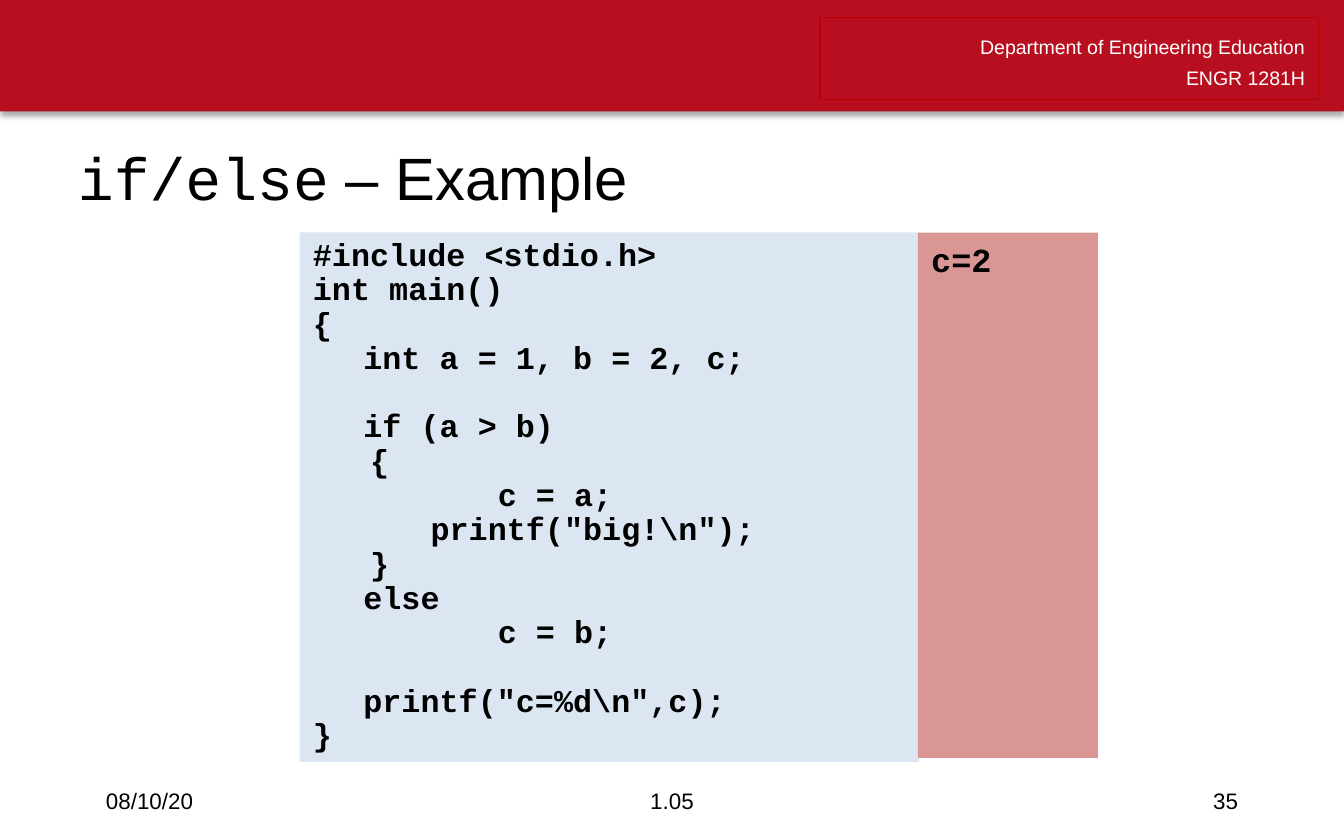
from lxml import etree
from pptx import Presentation, util as u
from pptx.dml.color import RGBColor
from pptx.enum import shapes, text
from pptx.oxml import ns

WIDTH, HEIGHT = 10, 6.25
BLACK = RGBColor(0x00, 0x00, 0x00)
WHITE = RGBColor(0xFF, 0xFF, 0xFF)
BANNER_RED = RGBColor(0xB7, 0x0F, 0x20)
OUTLINE_RED = RGBColor(0xBB, 0x00, 0x00)
CODE_BLUE = RGBColor(0xDC, 0xE6, 0xF2)
OUTPUT_PINK = RGBColor(0xD9, 0x96, 0x94)
SANS, MONO = "Arial", "Courier New"
LEFT, CENTER, RIGHT = text.PP_ALIGN.LEFT, text.PP_ALIGN.CENTER, text.PP_ALIGN.RIGHT
TOP, MIDDLE = text.MSO_ANCHOR.TOP, text.MSO_ANCHOR.MIDDLE

CODE = [
    "#include <stdio.h>",
    "int main()",
    "{",
    "\tint a = 1, b = 2, c;",
    "",
    "\tif (a > b)",
    "   {",
    "\t\t  \tc = a;",
    "      \tprintf(\"big!\\n\");",
    "   }",
    "\telse",
    "\t\t\tc = b;",
    "",
    "\tprintf(\"c=%d\\n\",c);",
    "}",
]


def place(left, top, width, height):
    return [u.Inches(value) for value in (left, top, width, height)]


def add_span(para, words, font=SANS, size=12, color=BLACK, bold=False):
    span = para.add_run()
    span.text = words
    span.font.name = font
    span.font.size = u.Pt(size)
    span.font.color.rgb = color
    span.font.bold = bold


def write_lines(box, lines, align=LEFT, anchor=TOP, spacing=None, hanging=0, size=12, **style):
    frame = box.text_frame
    frame.word_wrap = True
    frame.vertical_anchor = anchor
    for index, line in enumerate(lines):
        para = frame.add_paragraph() if index else frame.paragraphs[0]
        para.alignment = align
        if spacing:
            para.line_spacing = spacing
        if hanging:
            properties = para._p.get_or_add_pPr()
            properties.set("marL", str(u.Inches(hanging)))
            properties.set("indent", str(u.Inches(-hanging)))
        if line:
            add_span(para, line, size=size, **style)
        else:
            para._p.get_or_add_endParaRPr().set("sz", str(size * 100))


def add_panel(page, area, fill=None, line=None):
    panel = page.shapes.add_shape(shapes.MSO_SHAPE.RECTANGLE, *place(*area))
    panel.shadow.inherit = False
    if fill:
        panel.fill.solid()
        panel.fill.fore_color.rgb = fill
    else:
        panel.fill.background()
    if line:
        panel.line.color.rgb = line
        panel.line.width = u.Pt(0.75)
    else:
        panel.line.fill.background()
    return panel


def add_soft_shadow(panel):
    effects = panel._element.spPr.find(ns.qn("a:effectLst"))
    shadow = etree.SubElement(
        effects, ns.qn("a:outerShdw"), blurRad=str(u.Pt(3.1)),
        dist=str(u.Pt(1.8)), dir="5400000", algn="ctr", rotWithShape="0")
    color = etree.SubElement(shadow, ns.qn("a:srgbClr"), val="000000")
    etree.SubElement(color, ns.qn("a:alpha"), val="35000")


def add_header(page):
    add_soft_shadow(add_panel(page, (0, 0, WIDTH, 0.83), fill=BANNER_RED))
    label = add_panel(page, (6.1, 0.13, 3.71, 0.61), line=OUTLINE_RED)
    write_lines(label, ["Department of Engineering Education", "ENGR 1281H"],
                align=RIGHT, anchor=MIDDLE, spacing=u.Pt(16.4), size=10.5, color=WHITE)


def set_title(page):
    title = page.shapes.title
    title.left, title.top, title.width, title.height = place(0.48, 0.96, 9.07, 0.71)
    title.text_frame.vertical_anchor = MIDDLE
    para = title.text_frame.paragraphs[0]
    para.alignment = LEFT
    add_span(para, "if/else", font=MONO, size=32)
    add_span(para, " – Example", size=32)


def add_example(page):
    top = 1.73
    code = add_panel(page, (2.23, top, 4.61, 3.94), fill=CODE_BLUE)
    write_lines(code, CODE, spacing=0.9, hanging=0.375, size=17, font=MONO, bold=True)
    output = add_panel(page, (6.83, top, 1.34, 3.91), fill=OUTPUT_PINK)
    write_lines(output, ["c=2"], size=18, font=MONO, bold=True)


def add_footer(page):
    margin, side, middle = 0.69, 2.25, 3.38
    cells = [
        ("08/10/20", margin, side, LEFT),
        ("1.05", (WIDTH - middle) / 2, middle, CENTER),
        ("35", WIDTH - margin - side, side, RIGHT),
    ]
    for words, left, width, align in cells:
        box = page.shapes.add_textbox(*place(left, 5.79, width, 0.33))
        write_lines(box, [words], align=align, anchor=MIDDLE)


def main():
    deck = Presentation()
    deck.slide_width, deck.slide_height = u.Inches(WIDTH), u.Inches(HEIGHT)
    page = deck.slides.add_slide(deck.slide_layouts.get_by_name("Title Only"))
    add_header(page)
    set_title(page)
    add_example(page)
    add_footer(page)
    deck.save("out.pptx")


if __name__ == "__main__":
    main()
